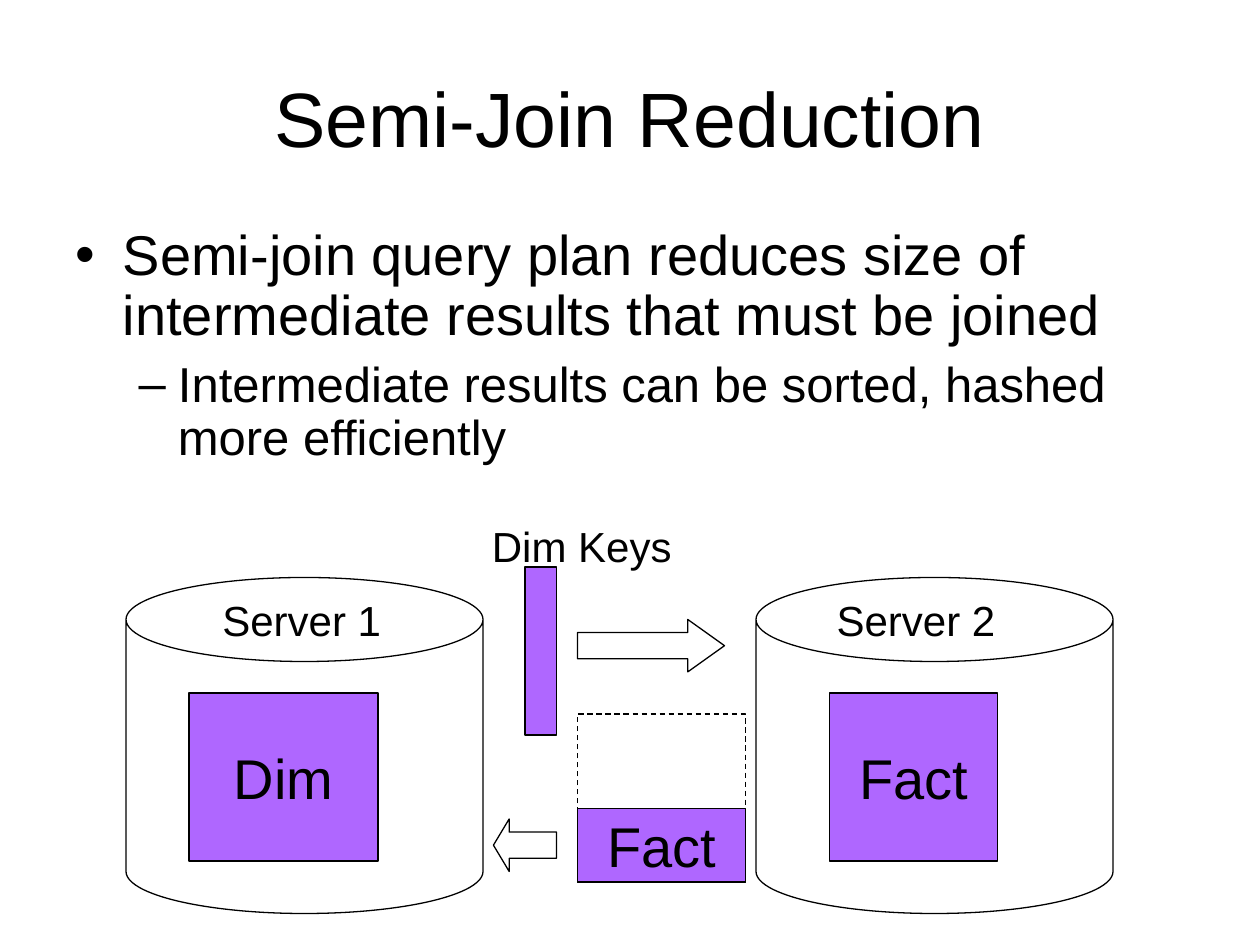
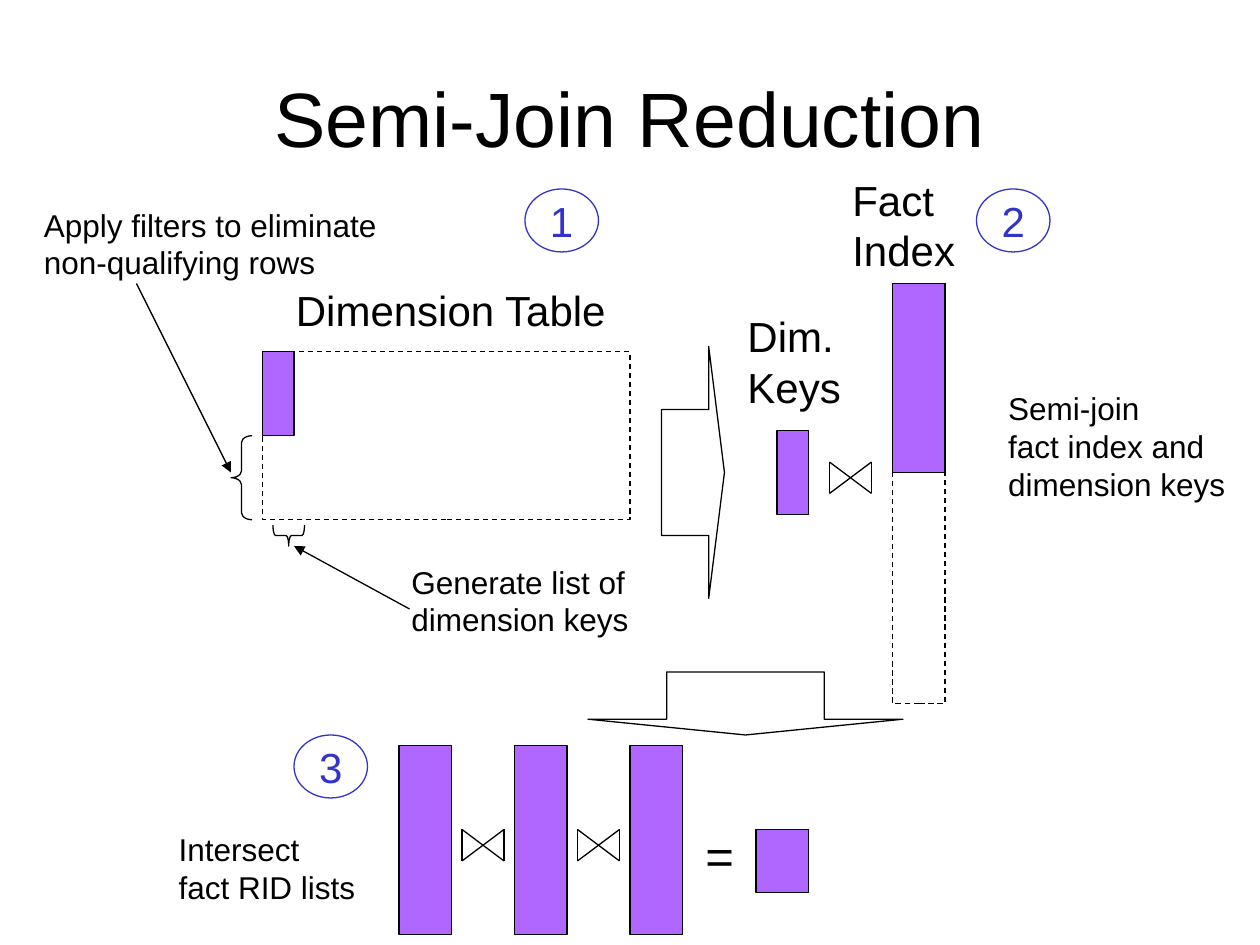
from lxml.etree import SubElement
from pptx import Presentation
from pptx.dml.color import RGBColor
from pptx.enum.dml import MSO_LINE
from pptx.enum.shapes import MSO_CONNECTOR, MSO_SHAPE as SHAPE
from pptx.enum.text import MSO_ANCHOR as ANCHOR, MSO_AUTO_SIZE as FIT, PP_ALIGN as ALIGN
from pptx.oxml.ns import qn
from pptx.util import Pt

COLORS = {"ink": "000000", "data": "AF67FF", "step": "3333CC"}
FONT = "Arial"
HEADING = "Semi-Join Reduction"
TITLE_ONLY, TITLE_AND_BODY = 5, 1
LINE_WIDTH = 0.75


def color(name):
    return RGBColor.from_string(COLORS[name])


def points(*values):
    return [Pt(value) for value in values]


def style_paragraph(paragraph, size, ink="ink", align=ALIGN.LEFT):
    paragraph.alignment = align
    paragraph.font.name = FONT
    paragraph.font.size = Pt(size)
    paragraph.font.color.rgb = color(ink)


def write_text(frame, text, size=24, ink="ink", align=ALIGN.LEFT,
               anchor=ANCHOR.TOP, wrap=False, fit=FIT.NONE):
    frame.text = text
    frame.word_wrap = wrap
    frame.auto_size = fit
    frame.vertical_anchor = anchor
    for paragraph in frame.paragraphs:
        style_paragraph(paragraph, size, ink, align)


def move(placeholder, left, top, width, height):
    placeholder.left, placeholder.top, placeholder.width, placeholder.height = points(
        left, top, width, height)


def add_slide(deck, layout):
    slide = deck.slides.add_slide(deck.slide_layouts[layout])
    title = slide.shapes.title
    move(title, 36, 21.6, 648, 90)
    write_text(title.text_frame, HEADING, size=44, align=ALIGN.CENTER,
               anchor=ANCHOR.MIDDLE, wrap=True)
    return slide


def add_bullets(slide, bullets):
    """Each bullet is (text, level)."""
    # size, bullet, left margin, hanging indent, space before
    levels = [(32, "•", 27, 27, 8), (28, "–", 58.5, 22.5, 7)]
    body = slide.placeholders[1]
    move(body, 36, 126, 648, 150)
    write_text(body.text_frame, "\n".join(text for text, _ in bullets), wrap=True)
    for index, (paragraph, (_, level)) in enumerate(zip(body.text_frame.paragraphs, bullets)):
        size, mark, margin, hanging, space = levels[level]
        paragraph.level = level
        properties = paragraph._p.get_or_add_pPr()
        properties.set("marL", str(Pt(margin)))
        properties.set("indent", str(-Pt(hanging)))
        SubElement(properties, qn("a:buFont"), typeface=FONT)
        SubElement(properties, qn("a:buChar"), char=mark)
        paragraph.line_spacing = 0.9
        paragraph.space_before = Pt(space if index else 0)
        style_paragraph(paragraph, size)


def add_label(slide, box, text, size=24):
    label = slide.shapes.add_textbox(*points(*box))
    write_text(label.text_frame, text, size=size, fit=FIT.SHAPE_TO_FIT_TEXT)


def add_figure(slide, kind, box, fill=None, line="ink", dashed=False,
               adjust=(), text=None, size=32):
    figure = slide.shapes.add_shape(kind, *points(*box))
    figure.shadow.inherit = False
    if fill:
        figure.fill.solid()
        figure.fill.fore_color.rgb = color(fill)
    else:
        figure.fill.background()
    figure.line.color.rgb = color(line)
    figure.line.width = Pt(LINE_WIDTH)
    if dashed:
        figure.line.dash_style = MSO_LINE.DASH
    for index, value in enumerate(adjust):
        figure.adjustments[index] = value
    if text:
        write_text(figure.text_frame, text, size=size, ink=line,
                   align=ALIGN.CENTER, anchor=ANCHOR.MIDDLE)
    return figure


def add_data(slide, *box, text=None):
    add_figure(slide, SHAPE.RECTANGLE, box, fill="data", text=text)


def add_outline(slide, *box):
    add_figure(slide, SHAPE.RECTANGLE, box, dashed=True)


def add_step(slide, number, left, top):
    add_figure(slide, SHAPE.OVAL, (left, top, 42, 36), line="step",
               text=str(number), size=24)


def add_line(slide, start, end, arrow=False):
    connector = slide.shapes.add_connector(MSO_CONNECTOR.STRAIGHT, *points(*start, *end))
    connector.line.color.rgb = color("ink")
    connector.line.width = Pt(LINE_WIDTH)
    properties = connector._element.spPr
    if arrow:
        SubElement(properties.find(qn("a:ln")), qn("a:tailEnd"), type="triangle")
    SubElement(properties, qn("a:effectLst"))


def add_join(slide, left, top):
    """Bow-tie join symbol."""
    right, bottom = left + 24, top + 18
    add_line(slide, (left, top), (left, bottom))
    add_line(slide, (right, top), (right, bottom))
    add_line(slide, (left, top), (right, bottom))
    add_line(slide, (left, bottom), (right, top))


def build_overview(deck):
    slide = add_slide(deck, TITLE_AND_BODY)
    add_bullets(slide, [
        ("Semi-join query plan reduces size of intermediate results that must be joined", 0),
        ("Intermediate results can be sorted, hashed more efficiently", 1),
    ])

    # Servers and their tables
    for server_left in (72, 432):
        add_figure(slide, SHAPE.CAN, (server_left, 330, 204, 192), adjust=[0.25])
    add_data(slide, 108, 396, 108, 96, text="Dim")
    add_data(slide, 474, 396, 96, 96, text="Fact")
    add_label(slide, (120, 336, 105, 36), "Server 1")
    add_label(slide, (471, 336, 105, 36), "Server 2")

    # Keys sent to server 2
    add_data(slide, 300, 324, 18, 96)
    add_label(slide, (274, 294, 118, 36), "Dim Keys")
    add_figure(slide, SHAPE.RIGHT_ARROW, (330, 354, 84, 30), adjust=[0.5, 0.7])

    # Reduced fact rows sent back
    add_data(slide, 330, 462, 96, 42, text="Fact")
    add_figure(slide, SHAPE.LEFT_ARROW, (282, 468, 36, 30), adjust=[0.5, 0.3])
    add_outline(slide, 330, 408, 96, 96)


def build_steps(deck):
    slide = add_slide(deck, TITLE_ONLY)

    # Step 1: filter the dimension table
    add_outline(slide, 150, 201, 210, 96)
    add_data(slide, 150, 201, 18, 48)
    add_label(slide, (162, 159, 196, 36), "Dimension Table")
    add_label(slide, (18, 114, 207, 50), "Apply filters to eliminate\nnon-qualifying rows", size=18)
    add_label(slide, (228, 318, 143, 50), "Generate list of\ndimension keys", size=18)
    add_figure(slide, SHAPE.LEFT_BRACE, (132, 249, 12, 48), adjust=[0.33, 0.5])
    add_line(slide, (78, 162), (132, 270), arrow=True)
    keys_brace = add_figure(slide, SHAPE.LEFT_BRACE, (159, 297, 12, 18), adjust=[0.12, 0.5])
    keys_brace.rotation = 270
    add_line(slide, (234, 348), (168, 312), arrow=True)
    add_step(slide, 1, 300, 108)

    # Step 2: semi-join keys and fact index
    add_figure(slide, SHAPE.RIGHT_ARROW, (378, 198, 36, 144), adjust=[0.5, 0.25])
    add_data(slide, 444, 246, 18, 48)
    add_label(slide, (420, 174, 70, 65), "Dim.\nKeys")
    add_join(slide, 474, 264)
    add_outline(slide, 510, 162, 30, 240)
    add_data(slide, 510, 162, 30, 108)
    add_label(slide, (480, 96, 75, 65), "Fact\nIndex")
    add_step(slide, 2, 558, 108)
    add_label(slide, (569, 219, 142, 72), "Semi-join\nfact index and\ndimension keys", size=18)

    # Step 3: intersect the RID lists
    list_left, list_step, list_count = 228, 66, 3
    add_figure(slide, SHAPE.DOWN_ARROW, (336, 384, 180, 36), adjust=[0.5, 0.25])
    for index in range(list_count):
        left = list_left + index * list_step
        add_data(slide, left, 426, 30, 108)
        if index < list_count - 1:
            add_join(slide, left + 36, 474)
    add_label(slide, (396, 468, 32, 41), "=", size=28)
    add_data(slide, 432, 474, 30, 36)
    add_step(slide, 3, 168, 420)
    add_label(slide, (95, 471, 119, 50), "Intersect\nfact RID lists", size=18)


def main():
    deck = Presentation()
    deck.slide_width, deck.slide_height = points(720, 540)
    build_overview(deck)
    build_steps(deck)
    deck.save("out.pptx")


if __name__ == "__main__":
    main()
